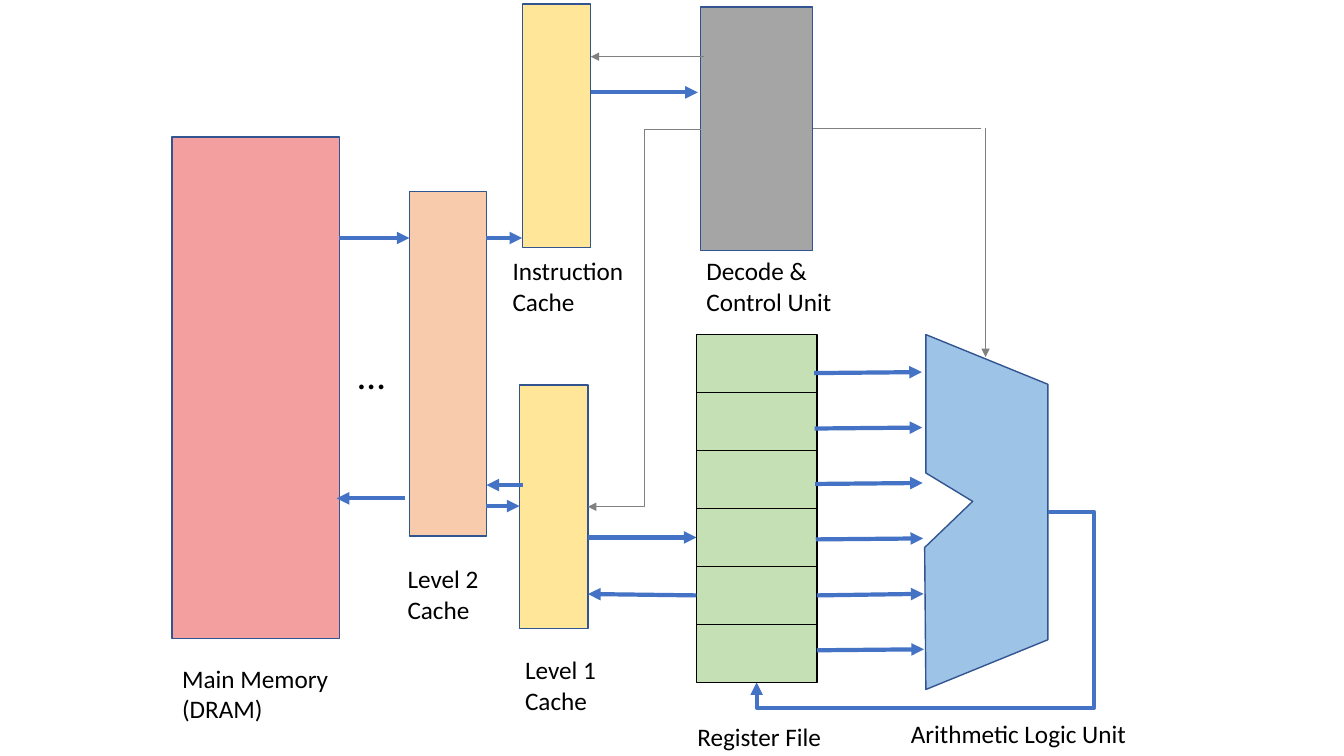
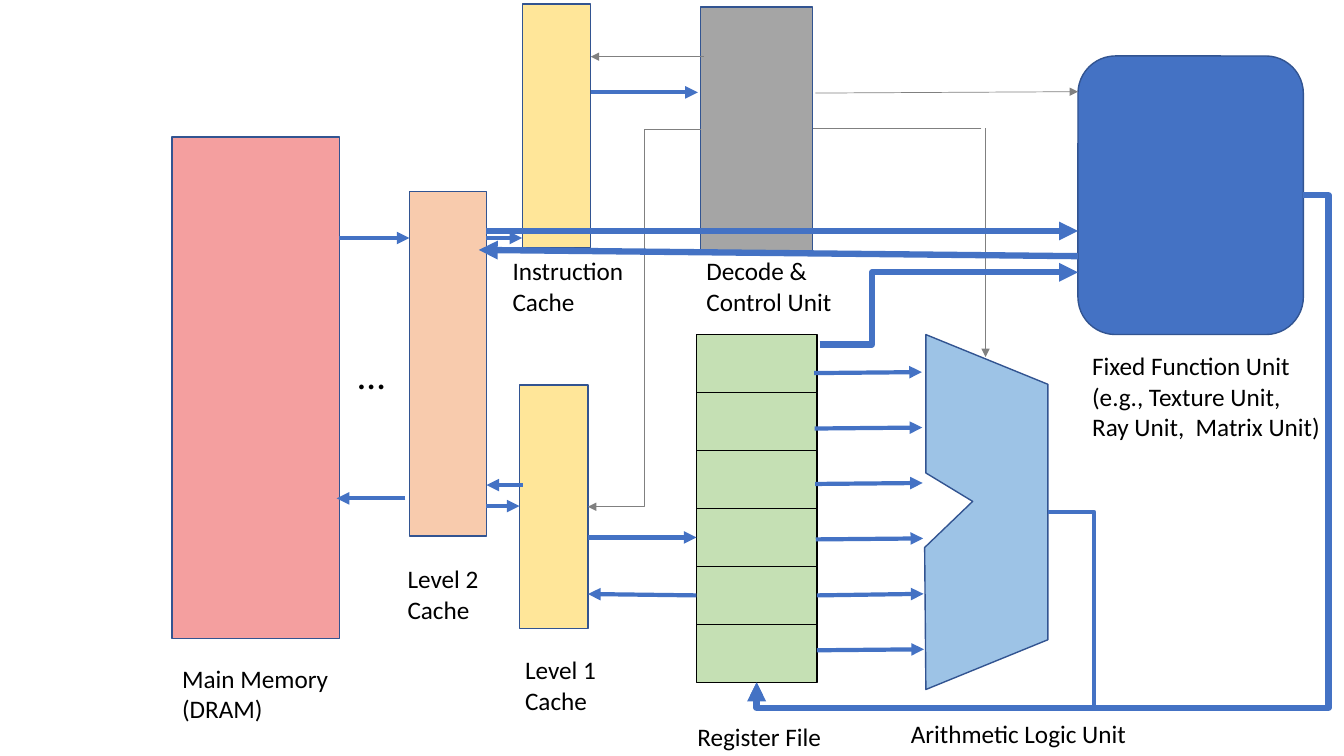
from collections import namedtuple

from pptx import Presentation
from pptx.dml.color import RGBColor
from pptx.enum.shapes import MSO_CONNECTOR, MSO_SHAPE
from pptx.oxml.ns import qn
from pptx.util import Pt
from lxml.etree import SubElement

# Shared look
FONT = "Calibri"
BLACK = RGBColor(0x00, 0x00, 0x00)
OUTLINE = RGBColor(0x32, 0x54, 0x91)
DATA_BLUE = RGBColor(0x44, 0x72, 0xC4)
CONTROL_GRAY = RGBColor(0x80, 0x80, 0x80)
MEMORY_RED = RGBColor(0xF4, 0x9F, 0x9F)
LEVEL2_ORANGE = RGBColor(0xF8, 0xCB, 0xAD)
CACHE_YELLOW = RGBColor(0xFF, 0xE6, 0x99)
DECODE_GRAY = RGBColor(0xA5, 0xA5, 0xA5)
REGISTER_GREEN = RGBColor(0xC5, 0xE0, 0xB4)
ALU_BLUE = RGBColor(0x9D, 0xC3, 0xE6)

# Line styles: colour and width in points
DATA = (DATA_BLUE, 3)
WIDE_DATA = (DATA_BLUE, 4.5)
CONTROL = (CONTROL_GRAY, 0.5)

LEFT, RIGHT = 1, 3
REGISTER_COUNT = 6


class Box(namedtuple("Box", "left top width height")):
    """A rectangle in points."""

    @property
    def right(self):
        return self.left + self.width

    @property
    def bottom(self):
        return self.top + self.height

    @property
    def center(self):
        return self.left + self.width / 2

    @property
    def middle(self):
        return self.top + self.height / 2

    def inner(self, left, top, width, height):
        return Box(self.left + left, self.top + top, width, height)

    def below(self, shift, gap, width, height):
        return Box(self.left + shift, self.bottom + gap, width, height)

    def points(self):
        return [Pt(value) for value in self]


# Regions of the diagram
MEMORY_FRAME = Box(123, 3, 299, 453)
MAIN_MEMORY = MEMORY_FRAME.inner(0, 95, 119.5, 358)
LEVEL2 = MEMORY_FRAME.inner(169.5, 134, 55, 246)
INSTRUCTION_CACHE = MEMORY_FRAME.inner(250, 0, 49, 174)
LEVEL1 = MEMORY_FRAME.inner(248, 272, 49, 174)
DECODE = Box(500.5, 5, 80, 174)
REGISTERS = Box(497.5, 239, 86, 248.4)
ALU = Box(660.5, 239, 88, 253.5)
FIXED_FUNCTION = Box(770, 40, 161, 199)
RETURN_LANE = 505.5


def paint(shape, fill, line=OUTLINE):
    shape.shadow.inherit = False
    shape.fill.solid()
    shape.fill.fore_color.rgb = fill
    shape.line.color.rgb = line
    shape.line.width = Pt(1)
    return shape


def block(page, box, fill, line=OUTLINE, kind=MSO_SHAPE.RECTANGLE):
    return paint(page.shapes.add_shape(kind, *box.points()), fill, line)


def label(page, box, *lines, wrap=False, size=18):
    frame = page.shapes.add_textbox(*box.points()).text_frame
    frame.word_wrap = wrap
    frame.text = "\n".join(lines)
    for para in frame.paragraphs:
        para.font.name = FONT
        para.font.size = Pt(size)
        para.font.color.rgb = BLACK


def connect(page, start, end, style, head=True, kind=MSO_CONNECTOR.STRAIGHT):
    color, width = style
    ends = [Pt(value) for value in (*start, *end)]
    connector = page.shapes.add_connector(kind, *ends)
    connector.line.color.rgb = color
    connector.line.width = Pt(width)
    properties = connector._element.spPr
    if head:
        SubElement(properties.find(qn("a:ln")), qn("a:tailEnd"), type="triangle")
    SubElement(properties, qn("a:effectLst"))
    return connector


def bend(page, start, end, style, lane_x, lane_y=None):
    """Elbow arrow through a vertical lane and, if given, a horizontal one."""
    connector = connect(page, start, end, style, kind=MSO_CONNECTOR.ELBOW)
    ratios = [(lane_x - start[0]) / (end[0] - start[0])]
    if lane_y is not None:
        ratios.append((lane_y - start[1]) / (end[1] - start[1]))
    geometry = connector._element.spPr.find(qn("a:prstGeom"))
    geometry.set("prst", f"bentConnector{len(ratios) + 2}")
    guides = geometry.find(qn("a:avLst"))
    if guides is None:
        guides = SubElement(geometry, qn("a:avLst"))
    for number, ratio in enumerate(ratios, 1):
        SubElement(guides, qn("a:gd"), name=f"adj{number}",
                   fmla=f"val {round(ratio * 100000)}")


def draw_memory(page, frame):
    block(page, MAIN_MEMORY, MEMORY_RED)
    block(page, LEVEL2, LEVEL2_ORANGE)
    block(page, INSTRUCTION_CACHE, CACHE_YELLOW)
    block(page, LEVEL1, CACHE_YELLOW)
    label(page, MAIN_MEMORY.below(0, 14, 120, 51), "Main Memory", "(DRAM)")
    label(page, LEVEL2.below(-8.5, 16, 76, 51), "Level 2 Cache", wrap=True)
    label(page, INSTRUCTION_CACHE.below(-14, 2, 101, 51),
          "Instruction Cache", wrap=True)
    label(page, LEVEL1.below(-3, 15, 78, 51), "Level 1 Cache", wrap=True)
    label(page, frame.inner(125.5, 244, 34, 41), "…", size=28)

    # Traffic between the levels
    load, store = frame.top + 167, frame.top + 353
    refill, write_back = frame.top + 358.5, frame.top + 343.5
    for start, end in (
        ((MAIN_MEMORY.right, load), (LEVEL2.left, load)),
        ((LEVEL2.right, load), (INSTRUCTION_CACHE.left, load)),
        ((LEVEL2.left - 3, store), (MAIN_MEMORY.right - 2, store)),
        ((LEVEL2.right, refill), (LEVEL1.left, refill)),
        ((LEVEL1.left + 2.5, write_back), (LEVEL2.right, write_back)),
    ):
        connect(page, start, end, DATA)


def draw_decode(page, box):
    unit = block(page, box, DECODE_GRAY)
    label(page, box.below(-3, 0, 114, 51), "Decode & Control Unit", wrap=True)

    # Instruction fetch
    request, fetch = box.top + 35.5, box.top + 61
    connect(page, (box.left + 2.5, request),
            (INSTRUCTION_CACHE.right, request), CONTROL)
    connect(page, (INSTRUCTION_CACHE.right, fetch), (box.left - 2, fetch), DATA)

    # Control of the level 1 cache and the arithmetic unit
    bend(page, (box.left, box.middle + 0.5), (LEVEL1.right, LEVEL1.top + 87),
         CONTROL, lane_x=box.left - 40.5)
    branch = connect(page, (ALU.center - 3.5, box.middle),
                     (box.right, box.middle), CONTROL, head=False)
    branch.end_connect(unit, RIGHT)
    connect(page, (ALU.center - 0.5, box.middle - 0.5),
            (ALU.center - 0.5, ALU.top + 16), CONTROL)


def draw_registers(page, box):
    height = box.height / REGISTER_COUNT
    rows = [block(page, box.inner(0, index * height, box.width, height),
                  REGISTER_GREEN, BLACK)
            for index in range(REGISTER_COUNT)]
    label(page, box.below(-6.5, 24, 104, 29), "Register File")

    # Exchange with the level 1 cache
    read, write = box.top + 3.5 * height, box.top + 4.5 * height
    connect(page, (LEVEL1.right, read), (box.left, read),
            DATA).end_connect(rows[3], LEFT)
    connect(page, (box.left, write), (LEVEL1.right, write - 1),
            DATA).begin_connect(rows[4], LEFT)

    # Operands for the arithmetic unit
    operands = []
    for index in range(REGISTER_COUNT):
        level = box.top + 27.5 + 39.6 * index
        operands.append(connect(page, (box.right - 2 + 0.4 * index, level),
                                (ALU.left - 2 + 0.3 * index, level - 0.7), DATA))
    operands[4].begin_connect(rows[4], RIGHT)


def draw_alu(page, box):
    outline = ((0.01, 0), (1, 0.14), (1, 0.86), (0.01, 1),
               (0, 0.6), (0.39, 0.47), (0.01, 0.39))
    corners = [(Pt(box.left + x * box.width), Pt(box.top + y * box.height))
               for x, y in outline]
    builder = page.shapes.build_freeform(*corners[0])
    builder.add_line_segments(corners[1:], close=True)
    paint(builder.convert_to_shape(), ALU_BLUE)
    label(page, box.below(-17, 17, 170, 29), "Arithmetic Logic Unit")
    bend(page, (box.right, box.middle), (REGISTERS.center, REGISTERS.bottom),
         DATA, lane_x=box.right + 33, lane_y=RETURN_LANE)


def draw_fixed_function(page, box):
    block(page, box, DATA_BLUE, kind=MSO_SHAPE.ROUNDED_RECTANGLE)
    label(page, box.below(3, 8, 178, 73), "Fixed Function Unit",
          "(e.g., Texture Unit,", "Ray Unit,  Matrix Unit)")

    # Memory traffic, operands, results and control
    connect(page, (box.left, box.top + 143), (LEVEL2.right - 5.5, box.top + 138.5),
            WIDE_DATA)
    connect(page, (LEVEL2.right, box.top + 125), (box.left, box.top + 125),
            WIDE_DATA)
    bend(page, (REGISTERS.right + 2, REGISTERS.top + 7),
         (box.left, box.top + 154.5), WIDE_DATA, lane_x=REGISTERS.right + 39.5)
    bend(page, (box.right, box.middle), (REGISTERS.center, REGISTERS.bottom),
         WIDE_DATA, lane_x=box.right + 18, lane_y=RETURN_LANE)
    connect(page, (DECODE.right + 2, box.top + 26.5), (box.left, box.top + 25.5),
            CONTROL)


def draw_processor(deck):
    page = deck.slides.add_slide(deck.slide_layouts[6])
    draw_alu(page, ALU)
    draw_memory(page, MEMORY_FRAME)
    draw_decode(page, DECODE)
    draw_registers(page, REGISTERS)
    return page


def main():
    deck = Presentation()
    deck.slide_width, deck.slide_height = Pt(960), Pt(540)
    draw_processor(deck)
    draw_fixed_function(draw_processor(deck), FIXED_FUNCTION)
    deck.save("out.pptx")


if __name__ == "__main__":
    main()
